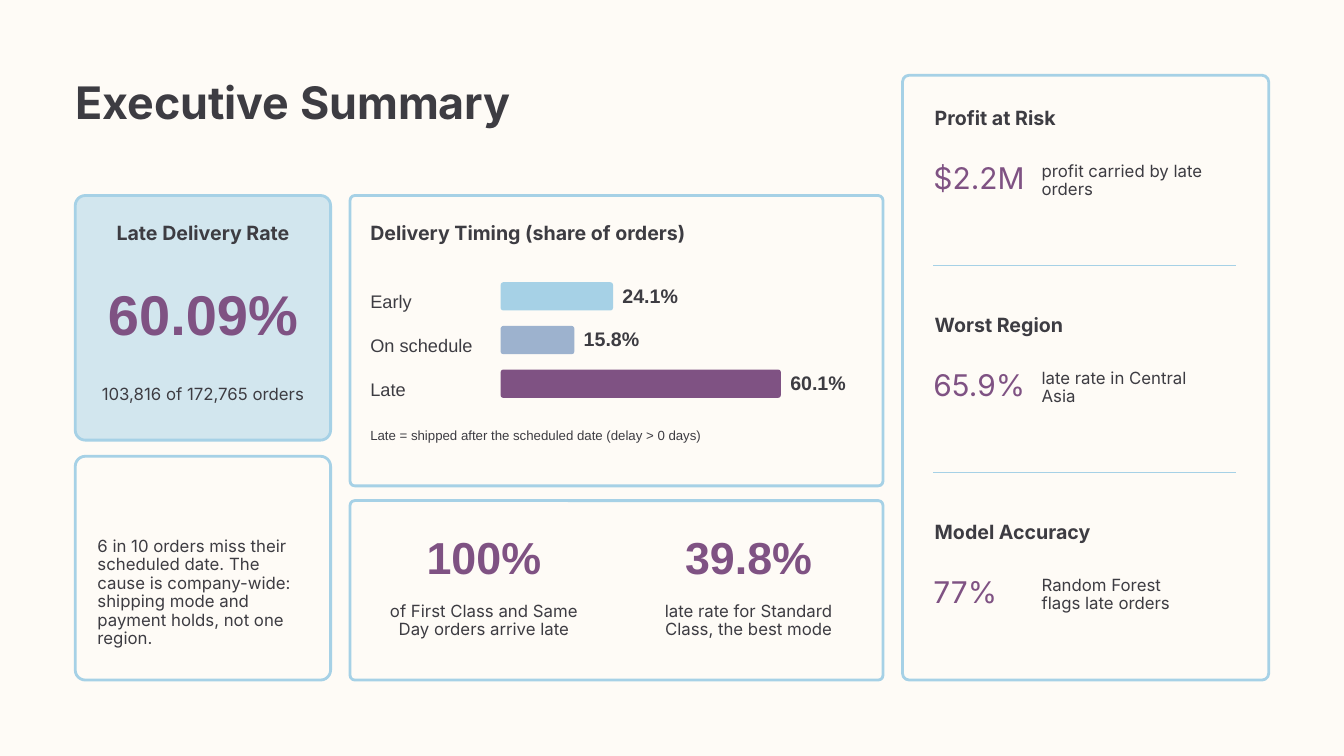
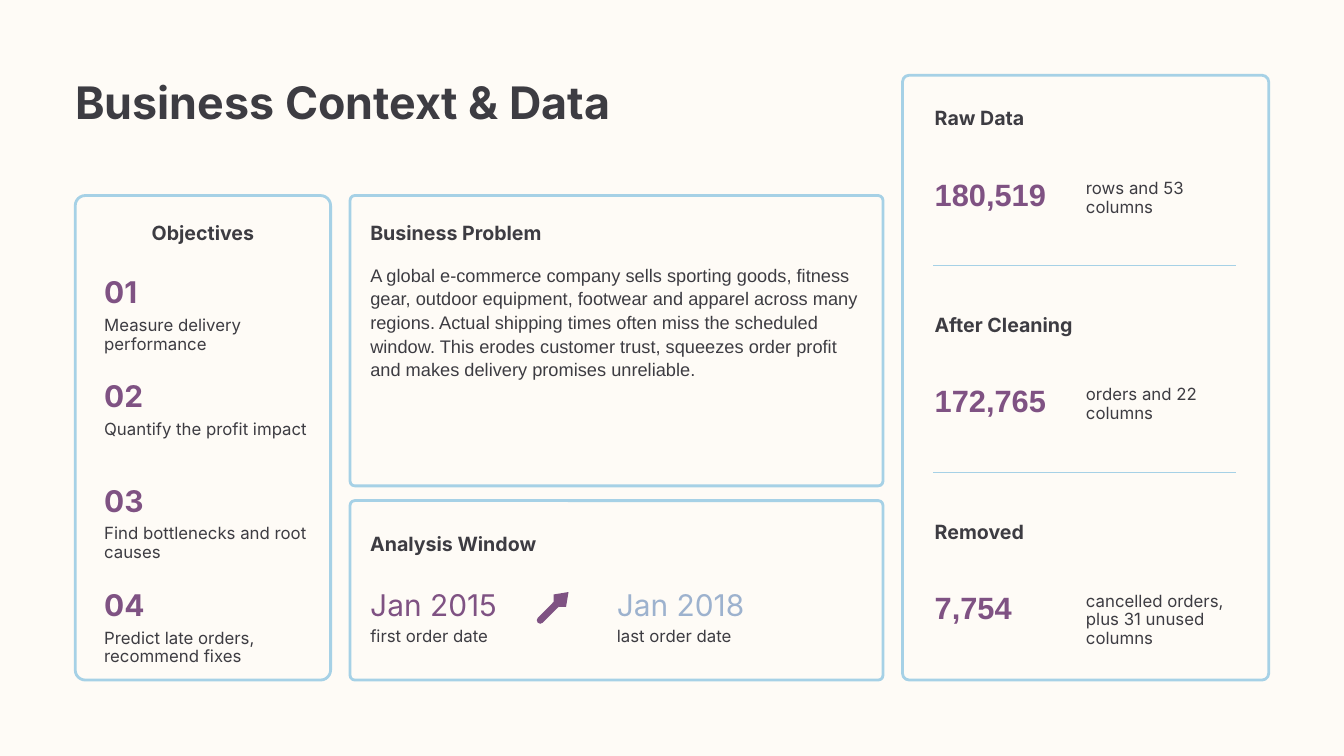
from lxml.etree import SubElement
from pptx import Presentation
from pptx.dml.color import RGBColor
from pptx.enum.shapes import MSO_CONNECTOR as CONNECTOR, MSO_SHAPE as SHAPE
from pptx.enum.text import MSO_AUTO_SIZE as AUTO_SIZE, PP_ALIGN as ALIGN
from pptx.oxml.ns import qn
from pptx.util import Inches, Pt

COLORS = {
    "background": "FEFBF6",
    "ink": "3D3C42",
    "purple": "7F5283",
    "sky": "A6D1E6",
    "pale": "D2E6EE",
    "slate": "9DB2CE",
}

STYLES = {
    "title": ("Inter", 48, True, "ink", 1.1),
    "heading": ("Inter", 21, True, "ink", 1.1),
    "body": ("Inter", 18, False, "ink", 1.1),
    "figure": ("Inter", 32, False, "purple", 1.1),
    "end date": ("Inter", 32, False, "slate", 1.1),
    "number": ("Inter", 32, True, "purple", 1.1),
    "count": ("Arial", 33, True, "purple", 1.1),
    "rate": ("Arial", 60, True, "purple", 1.1),
    "mode rate": ("Arial", 48, True, "purple", 1.1),
    "bar value": ("Arial", 21, True, "ink", 1.1),
    "bar labels": ("Arial", 19.5, False, "ink", 2.4),
    "paragraph": ("Arial", 19.5, False, "ink", 1.3),
    "footnote": ("Arial", 14.2, False, "ink", 1.1),
}

LEFT_X, LEFT_WIDTH, LEFT_RADIUS = 1.12, 3.8, 0.15
MIDDLE_X, MIDDLE_WIDTH, MIDDLE_RADIUS = 5.21, 7.93, 0.07
MIDDLE_TEXT_X = 5.51
SIDE_X, SIDE_WIDTH, SIDE_RADIUS = 13.43, 5.45, 0.1
SIDE_TEXT_X = 13.91
SIDE_STEP = 3.08
CARD_TOP, CARD_BOTTOM = 2.91, 10.12


def add_box(slide, left, top, width, height, radius, fill=None, line=None):
    shape = slide.shapes.add_shape(
        SHAPE.ROUNDED_RECTANGLE, Inches(left), Inches(top), Inches(width), Inches(height)
    )
    shape.adjustments[0] = radius / min(width, height)
    shape.shadow.inherit = False
    if fill:
        shape.fill.solid()
        shape.fill.fore_color.rgb = RGBColor.from_string(COLORS[fill])
    else:
        shape.fill.background()
    if line:
        shape.line.color.rgb = RGBColor.from_string(COLORS[line])
        shape.line.width = Pt(3)
    else:
        shape.line.fill.background()


def add_text(slide, text, style, left, top, width, height, align=ALIGN.LEFT):
    font_name, size, bold, color, spacing = STYLES[style]
    box = slide.shapes.add_textbox(Inches(left), Inches(top), Inches(width), Inches(height))
    frame = box.text_frame
    frame.margin_left = frame.margin_right = frame.margin_top = frame.margin_bottom = 0
    frame.word_wrap = True
    frame.auto_size = AUTO_SIZE.SHAPE_TO_FIT_TEXT
    frame.text = text
    for paragraph in frame.paragraphs:
        paragraph.alignment = align
        paragraph.line_spacing = Pt(round(size * spacing, 1))
        for run in paragraph.runs:
            run.font.name = font_name
            run.font.size = Pt(size)
            run.font.bold = bold
            run.font.color.rgb = RGBColor.from_string(COLORS[color])


presentation = Presentation()
presentation.slide_width = Inches(20)
presentation.slide_height = Inches(11.25)

pages = [
    {
        "title": "Executive Summary",
        "left": "Late Delivery Rate",
        "middle": "Delivery Timing (share of orders)",
        "side": ["Profit at Risk", "Worst Region", "Model Accuracy"],
        "left cards": [(CARD_TOP, 6.55, "pale"), (6.79, CARD_BOTTOM, None)],
    },
    {
        "title": "Business Context & Data",
        "left": "Objectives",
        "middle": "Business Problem",
        "side": ["Raw Data", "After Cleaning", "Removed"],
        "left cards": [(CARD_TOP, CARD_BOTTOM, None)],
    },
]

slides = []
for page in pages:
    slide = presentation.slides.add_slide(presentation.slide_layouts[6])
    slides.append(slide)
    slide.background.fill.solid()
    slide.background.fill.fore_color.rgb = RGBColor.from_string(COLORS["background"])

    add_box(slide, SIDE_X, 1.12, SIDE_WIDTH, 9, SIDE_RADIUS, line="sky")
    for top, bottom, fill in page["left cards"]:
        add_box(slide, LEFT_X, top, LEFT_WIDTH, bottom - top, LEFT_RADIUS, fill, "sky")
    for top, bottom in [(CARD_TOP, 7.23), (7.45, CARD_BOTTOM)]:
        add_box(slide, MIDDLE_X, top, MIDDLE_WIDTH, bottom - top, MIDDLE_RADIUS, line="sky")

    for index in range(2):
        y = Inches(3.95 + index * SIDE_STEP)
        divider = slide.shapes.add_connector(
            CONNECTOR.STRAIGHT, Inches(13.89), y, Inches(18.4), y
        )
        divider.line.color.rgb = RGBColor.from_string(COLORS["sky"])
        divider.line.width = Pt(1.5)
        SubElement(divider.element.spPr, qn("a:effectLst"))

    add_text(slide, page["title"], "title", LEFT_X, 1.18, 12.31, 0.74)
    add_text(slide, page["left"], "heading", LEFT_X, 3.31, LEFT_WIDTH, 0.32, ALIGN.CENTER)
    add_text(slide, page["middle"], "heading", MIDDLE_TEXT_X, 3.32, 7.29, 0.32)
    for index, heading in enumerate(page["side"]):
        add_text(slide, heading, "heading", SIDE_TEXT_X, 1.6 + index * SIDE_STEP, 4.49, 0.32)

summary, context = slides

add_text(summary, "60.09%", "rate", LEFT_X, 4.25, LEFT_WIDTH, 0.97, ALIGN.CENTER)
add_text(summary, "103,816 of 172,765 orders", "body", 1.46, 5.73, 3.12, 0.28, ALIGN.CENTER)
add_text(
    summary,
    "6 in 10 orders miss their scheduled date. The cause is company-wide: "
    "shipping mode and payment holds, not one region.",
    "body", 1.45, 7.99, 3.14, 1.36,
)

timing = [("Early", 24.1, "sky"), ("On schedule", 15.8, "slate"), ("Late", 60.1, "purple")]
bar_x, inches_per_percent = 7.45, 4.17 / 60.1
labels = "\n".join(label for label, share, color in timing)
add_text(summary, labels, "bar labels", MIDDLE_TEXT_X, 4, 1.82, 1.87)
for index, (label, share, color) in enumerate(timing):
    top = 4.2 + index * 0.65
    length = share * inches_per_percent
    add_box(summary, bar_x, top, length, 0.42, 0.04, color)
    add_text(summary, f"{share}%", "bar value", bar_x + length + 0.14, top + 0.05, 1.25, 0.33)
add_text(
    summary, "Late = shipped after the scheduled date (delay > 0 days)",
    "footnote", MIDDLE_TEXT_X, 6.38, 7.29, 0.23,
)

mode_rates = [
    (5.64, "100%", "of First Class and Same Day orders arrive late"),
    (9.58, "39.8%", "late rate for Standard Class, the best mode"),
]
for left, rate, note in mode_rates:
    add_text(summary, rate, "mode rate", left, 7.95, 3.12, 0.76, ALIGN.CENTER)
    add_text(summary, note, "body", left, 8.96, 3.12, 0.55, ALIGN.CENTER)

key_figures = [
    ("$2.2M", "profit carried by late orders"),
    ("65.9%", "late rate in Central Asia"),
    ("77%", "Random Forest flags late orders"),
]
for index, (figure, note) in enumerate(key_figures):
    top = 2.42 + index * SIDE_STEP
    add_text(summary, figure, "figure", 13.89, top, 1.61, 0.49)
    add_text(summary, note, "body", 15.5, top - 0.01, 2.42, 0.55)

objectives = [
    "Measure delivery performance",
    "Quantify the profit impact",
    "Find bottlenecks and root causes",
    "Predict late orders, recommend fixes",
]
for index, objective in enumerate(objectives):
    top = 4.12 + index * 1.55
    add_text(context, f"{index + 1:02}", "number", 1.55, top, 1.47, 0.49)
    add_text(context, objective, "body", 1.55, top + 0.59, 3.12, 0.55)

add_text(
    context,
    "A global e-commerce company sells sporting goods, fitness gear, outdoor equipment, "
    "footwear and apparel across many regions. Actual shipping times often miss the "
    "scheduled window. This erodes customer trust, squeezes order profit and makes "
    "delivery promises unreliable.",
    "paragraph", MIDDLE_TEXT_X, 3.9, 7.29, 1.73,
)

add_text(context, "Analysis Window", "heading", MIDDLE_TEXT_X, 7.95, 6.8, 0.32)
window_dates = [
    (MIDDLE_TEXT_X, "Jan 2015", "figure", "first order date"),
    (9.18, "Jan 2018", "end date", "last order date"),
]
for left, date, style, note in window_dates:
    add_text(context, date, style, left, 8.78, 2.24, 0.49)
    add_text(context, note, "body", left, 9.34, 3.21, 0.28)

arrow = context.shapes.add_connector(
    CONNECTOR.STRAIGHT, Inches(8.04), Inches(9.23), Inches(8.46), Inches(8.81)
)
arrow.line.color.rgb = RGBColor.from_string(COLORS["purple"])
arrow.line.width = Pt(7.5)
arrow_line = arrow.line._get_or_add_ln()
arrow_line.set("cap", "rnd")
SubElement(arrow_line, qn("a:tailEnd"), type="arrow", w="sm", len="sm")
SubElement(arrow.element.spPr, qn("a:effectLst"))

data_counts = [
    ("180,519", "rows and 53 columns", 0.55),
    ("172,765", "orders and 22 columns", 0.55),
    ("7,754", "cancelled orders, plus 31 unused columns", 0.82),
]
for index, (count, note, note_height) in enumerate(data_counts):
    top = 2.66 + index * 3.07
    add_text(context, count, "count", SIDE_TEXT_X, top, 2.14, 0.55)
    add_text(context, note, "body", 16.16, top + 0.01, 2.42, note_height)

presentation.save("out.pptx")
